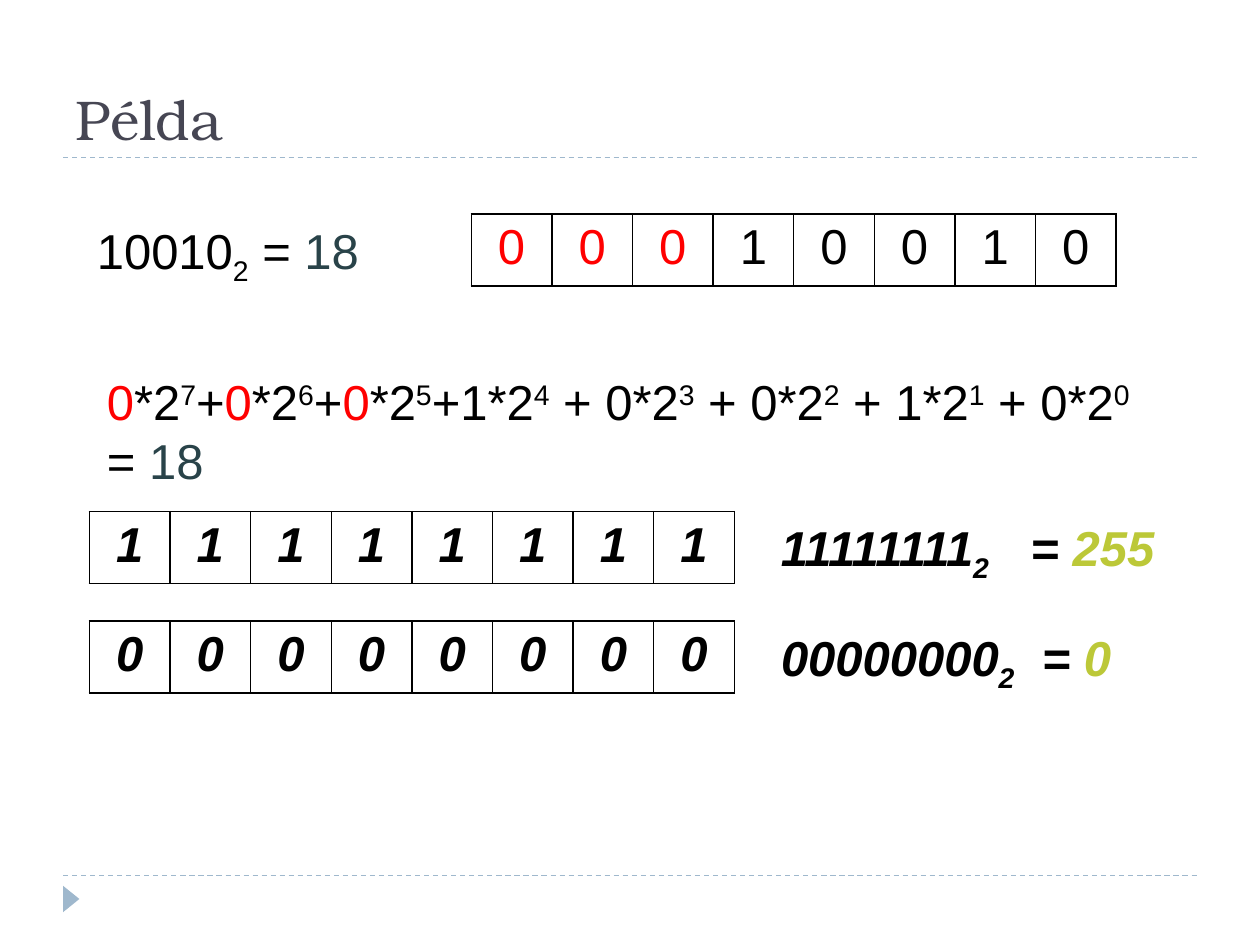
from dataclasses import dataclass

from lxml import etree
from pptx import Presentation
from pptx.dml.color import RGBColor
from pptx.enum import dml, shapes, text
from pptx.oxml import ns
from pptx.util import Inches, Pt

BLACK = RGBColor(0x00, 0x00, 0x00)
RED = RGBColor(0xFF, 0x00, 0x00)
TEAL = RGBColor(0x29, 0x43, 0x49)
LIME = RGBColor(0xBC, 0xC8, 0x38)
SLATE = RGBColor(0x46, 0x46, 0x53)
PALE_BLUE = RGBColor(0x9F, 0xB8, 0xCD)

SUB, SUPER = -25, 30
CELL_WIDTH, ROW_HEIGHT = 0.64, 0.57


@dataclass
class Piece:
    words: str
    color: RGBColor = BLACK
    baseline: int = 0
    size: int = 28
    font: str = "Arial"
    strong: bool = False


@dataclass
class Register:
    left: float
    top: float
    bits: str
    padding: int = 0  # leading bits shown in red
    strong: bool = False


@dataclass
class Line:
    left: float
    top: float
    width: float
    height: float
    pieces: list[Piece]
    tab: float = 0
    anchor: text.MSO_ANCHOR = text.MSO_ANCHOR.TOP


def add_piece(paragraph, piece: Piece) -> None:
    run = paragraph.add_run()
    run.text = piece.words
    run.font.size = Pt(piece.size)
    run.font.name = piece.font
    run.font.color.rgb = piece.color
    run.font.bold = run.font.italic = piece.strong
    if piece.baseline:
        run.font._element.set("baseline", str(piece.baseline * 1000))


def add_line(slide, line: Line) -> None:
    box = slide.shapes.add_textbox(Inches(line.left), Inches(line.top),
                                   Inches(line.width), Inches(line.height))
    frame = box.text_frame
    frame.word_wrap = True
    frame.vertical_anchor = line.anchor
    paragraph = frame.paragraphs[0]
    if line.tab:
        stops = etree.SubElement(paragraph._p.get_or_add_pPr(), ns.qn("a:tabLst"))
        etree.SubElement(stops, ns.qn("a:tab"), pos=str(Inches(line.tab)), algn="l")
    for piece in line.pieces:
        add_piece(paragraph, piece)


def add_borders(cell) -> None:
    properties = cell._tc.get_or_add_tcPr()
    for index, side in enumerate(("lnL", "lnR", "lnT", "lnB")):
        border = etree.Element(ns.qn(f"a:{side}"), w=str(Pt(1)))
        fill = etree.SubElement(border, ns.qn("a:solidFill"))
        etree.SubElement(fill, ns.qn("a:srgbClr"), val=str(BLACK))
        properties.insert(index, border)


def add_register(slide, register: Register) -> None:
    count = len(register.bits)
    table = slide.shapes.add_table(
        1, count, Inches(register.left), Inches(register.top),
        Inches(CELL_WIDTH * count), Inches(ROW_HEIGHT)).table
    table.first_row = table.horz_banding = False
    for index, bit in enumerate(register.bits):
        table.columns[index].width = Inches(CELL_WIDTH)
        cell = table.cell(0, index)
        cell.fill.background()
        add_borders(cell)
        paragraph = cell.text_frame.paragraphs[0]
        paragraph.alignment = text.PP_ALIGN.CENTER
        color = RED if index < register.padding else BLACK
        add_piece(paragraph, Piece(bit, color, strong=register.strong))


def add_rule(slide, top: float) -> None:
    rule = slide.shapes.add_connector(shapes.MSO_CONNECTOR.STRAIGHT, Inches(0.5),
                                      Inches(top), Inches(9.5), Inches(top))
    rule.line.color.rgb = PALE_BLUE
    rule.line.width = Pt(0.75)
    rule.line.dash_style = dml.MSO_LINE.DASH
    etree.SubElement(rule._element.spPr, ns.qn("a:effectLst"))


def binary_value(digits: str, value: str) -> list[Piece]:
    return [Piece(digits, strong=True), Piece("2", baseline=SUB, strong=True),
            Piece("\t= ", strong=True), Piece(value, LIME, strong=True)]


def expansion(bits: str, padding: int, value: str) -> list[Piece]:
    """Sum of each bit times its power of two; padding terms are set tight."""
    pieces = []
    for index, bit in enumerate(bits):
        if index:
            pieces.append(Piece("+" if index <= padding else " + "))
        pieces.append(Piece(bit, RED if index < padding else BLACK))
        pieces.append(Piece("*2"))
        pieces.append(Piece(str(len(bits) - 1 - index), baseline=SUPER))
    return pieces + [Piece(" = "), Piece(value, TEAL)]


presentation = Presentation()
presentation.slide_width, presentation.slide_height = Inches(10), Inches(7.5)
slide = presentation.slides.add_slide(presentation.slide_layouts[6])

# Frame: dashed rules and corner marker
for rule_top in (6.95, 1.25):
    add_rule(slide, rule_top)
marker = slide.shapes.add_shape(shapes.MSO_SHAPE.ISOSCELES_TRIANGLE, Inches(0.46),
                                Inches(7.07), Inches(0.21), Inches(0.13))
marker.rotation = 90
marker.shadow.inherit = False
marker.fill.solid()
marker.fill.fore_color.rgb = PALE_BLUE
marker.line.fill.background()

# Title, conversions and the expanded sum
EXAMPLE, PADDING = "00010010", 3
LINES = [
    Line(0.5, 0.17, 9, 1.08, [Piece("Példa", SLATE, size=32, font="TeX Gyre Bonum")],
         anchor=text.MSO_ANCHOR.BOTTOM),
    Line(0.67, 1.7, 2.91, 0.57, [Piece(EXAMPLE[PADDING:]), Piece("2", baseline=SUB),
                                 Piece(" = "), Piece("18", TEAL)]),
    Line(0.75, 2.9, 8.58, 1.04, expansion(EXAMPLE, PADDING, "18")),
    Line(6.1, 4.06, 3.23, 0.57, binary_value("1" * 8, "255"), tab=1.98),
    Line(6.1, 4.93, 2.91, 0.57, binary_value("0" * 8, "0"), tab=2.07),
]
for line in LINES:
    add_line(slide, line)

# Eight-bit registers
REGISTERS = [
    Register(3.74, 1.7, EXAMPLE, padding=PADDING),
    Register(0.71, 4.06, "1" * 8, strong=True),
    Register(0.71, 4.93, "0" * 8, strong=True),
]
for register in REGISTERS:
    add_register(slide, register)

presentation.save("out.pptx")
